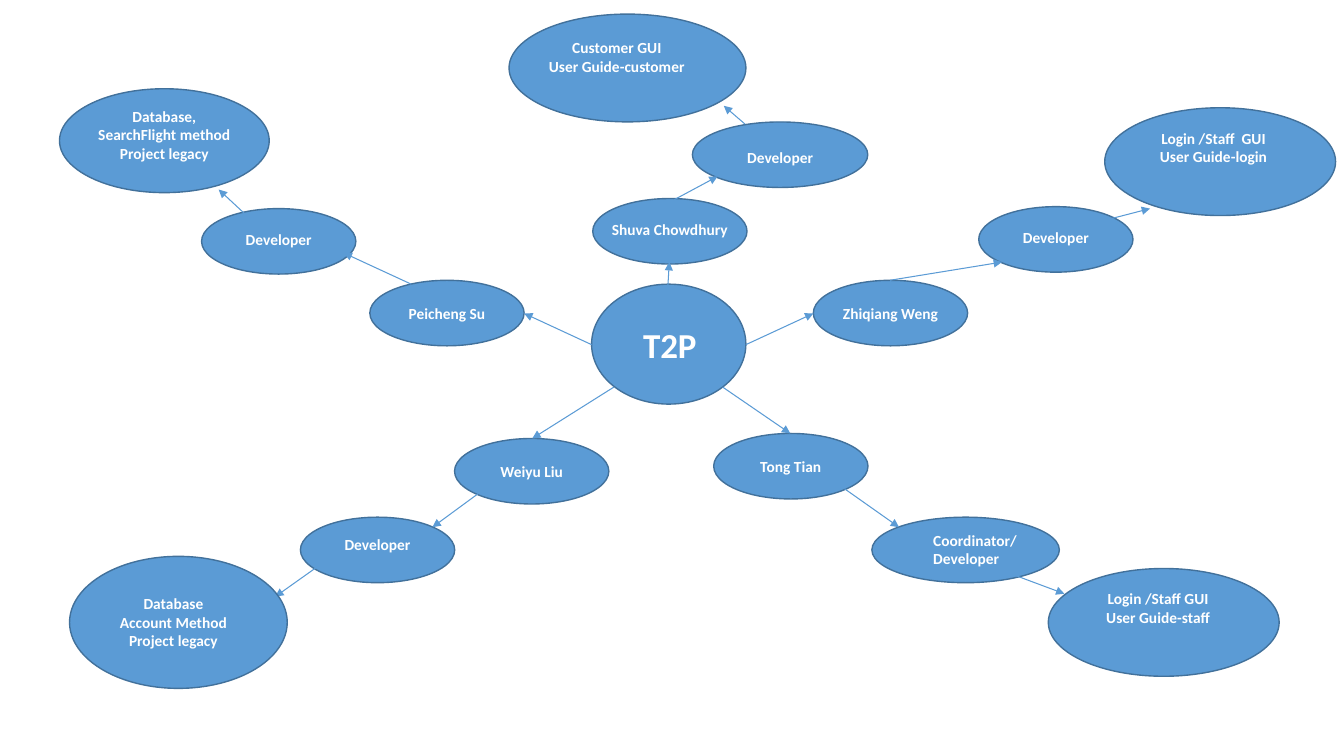
from dataclasses import dataclass

from lxml.etree import SubElement
from pptx import Presentation
from pptx.dml.color import RGBColor
from pptx.enum.shapes import MSO_CONNECTOR, MSO_SHAPE
from pptx.enum.text import MSO_ANCHOR, PP_ALIGN
from pptx.oxml.ns import qn
from pptx.shapes.base import BaseShape
from pptx.slide import Slide
from pptx.text.text import TextFrame
from pptx.util import Pt


@dataclass(frozen=True)
class Theme:
    font: str = "Calibri"
    fill: RGBColor = RGBColor(0x5B, 0x9B, 0xD5)
    outline: RGBColor = RGBColor(0x42, 0x71, 0x9B)
    text: RGBColor = RGBColor(0xFF, 0xFF, 0xFF)
    label_size: float = 11
    hub_size: float = 25
    outline_width: float = 1
    arrow_width: float = 0.75


@dataclass(frozen=True)
class Box:
    left: float
    top: float
    width: float
    height: float


@dataclass(frozen=True)
class Bubble:
    oval: Box
    label: Box
    lines: tuple[str, ...]
    align: PP_ALIGN = PP_ALIGN.CENTER


@dataclass(frozen=True)
class Arrow:
    start: tuple[float, float]
    end: tuple[float, float]


THEME = Theme()
OVAL_WIDTH, OVAL_HEIGHT = 110.2, 46.8
LABEL_HEIGHT = 20.9
OUTCOME_LABEL_HEIGHT = 74.2


def small_bubble(left: float, top: float, drop: float, text: str,
                 label_width: float = 72, width: float = OVAL_WIDTH) -> Bubble:
    """One-line bubble whose label is centred across and starts `drop` below the top."""
    label_left = left + (width - label_width) / 2
    return Bubble(Box(left, top, width, OVAL_HEIGHT),
                  Box(label_left, top + drop, label_width, LABEL_HEIGHT), (text,))


def outcome(oval: Box, label_left: float, label_top: float, label_width: float,
            *lines: str) -> Bubble:
    return Bubble(oval, Box(label_left, label_top, label_width, OUTCOME_LABEL_HEIGHT), lines)


# Team members and their roles
MEMBERS = [
    small_bubble(264.2, 200.2, 13.6, "Peicheng Su"),
    small_bubble(423.4, 141.8, 11.6, "Shuva Chowdhury", 103.7),
    small_bubble(509.8, 309.6, 13, "Tong Tian"),
    small_bubble(324.7, 313.2, 13, "Weiyu Liu"),
    small_bubble(581, 200.2, 13.6, "Zhiqiang Weng", 87.1),
]
ROLES = [
    Bubble(Box(622.8, 369.4, 133.9, OVAL_HEIGHT), Box(659.5, 375.8, 84.2, 33.8),
           ("Coordinator/", "Developer"), PP_ALIGN.LEFT),
    small_bubble(214.6, 369.4, 9.4, "Developer"),
    small_bubble(699.1, 147.6, 11.8, "Developer"),
    small_bubble(144, 149, 12, "Developer"),
    small_bubble(494.6, 87.1, 14.9, "Developer", 85, 125.3),
]

# Work each member delivers
OUTCOMES = [
    outcome(Box(789.1, 77, 164.9, 77), 799.9, 88.6, 133.9,
            "Login /Staff  GUI", "User Guide-login"),
    outcome(Box(42.5, 63.4, 149.8, 74.2), 42.5, 72.7, 149.8,
            "Database,", "SearchFlight method", "Project legacy"),
    outcome(Box(363.6, 10.1, 169.2, 77), 373.7, 23.8, 133.9,
            "Customer GUI", "User Guide-customer"),
    outcome(Box(748.8, 406.1, 164.9, 77), 760.3, 417.6, 133.9,
            "Login /Staff GUI", "User Guide-staff"),
    outcome(Box(49.7, 397.4, 155.5, 94.3), 49, 421.2, 149.8,
            "Database", "Account Method", "Project legacy"),
]

HUB_OVAL = Box(422.6, 203, 110.2, 85.7)
HUB_LABEL = Box(434.9, 227.5, 87.1, 37.4)

# From the hub to members, roles and outcomes
ARROWS = [
    Arrow((438.5, 276.5), (380.2, 313.2)),
    Arrow((341.3, 352.8), (308.9, 376.6)),
    Arrow((229, 403.2), (196.6, 426.2)),
    Arrow((516.2, 276.5), (564.5, 309.6)),
    Arrow((603.4, 349.2), (642.2, 376.6)),
    Arrow((715.7, 407.5), (760.3, 424.1)),
    Arrow((532.8, 246.2), (581, 223.9)),
    Arrow((635.8, 200.2), (715.7, 187.2)),
    Arrow((779.8, 159.8), (821.5, 149)),
    Arrow((422.6, 246.2), (374.4, 223.9)),
    Arrow((293.8, 203), (245.5, 180.7)),
    Arrow((177.1, 154.8), (156.2, 135.4)),
    Arrow((476.6, 212.4), (478.1, 187.2)),
    Arrow((481.7, 142.6), (512.6, 126)),
    Arrow((532.1, 88.6), (517, 75.6)),
]


def place(shape: BaseShape, box: Box) -> None:
    shape.left, shape.top = Pt(box.left), Pt(box.top)
    shape.width, shape.height = Pt(box.width), Pt(box.height)


def write(frame: TextFrame, lines: tuple[str, ...], size: float, align: PP_ALIGN) -> None:
    frame.word_wrap = True
    frame.vertical_anchor = MSO_ANCHOR.TOP
    frame.margin_left = frame.margin_right = Pt(7.2)
    frame.margin_top = frame.margin_bottom = Pt(3.6)
    frame.text = "\n".join(lines)
    for paragraph in frame.paragraphs:
        paragraph.alignment = align
        paragraph.font.name = THEME.font
        paragraph.font.size = Pt(size)
        paragraph.font.bold = True
        paragraph.font.color.rgb = THEME.text


def draw_oval(slide: Slide, box: Box) -> None:
    oval = slide.shapes.add_shape(MSO_SHAPE.OVAL, Pt(box.left), Pt(box.top),
                                  Pt(box.width), Pt(box.height))
    oval.shadow.inherit = False
    oval.fill.solid()
    oval.fill.fore_color.rgb = THEME.fill
    oval.line.color.rgb = THEME.outline
    oval.line.width = Pt(THEME.outline_width)


def draw_bubble(slide: Slide, bubble: Bubble) -> None:
    draw_oval(slide, bubble.oval)
    box = bubble.label
    label = slide.shapes.add_textbox(Pt(box.left), Pt(box.top), Pt(box.width), Pt(box.height))
    write(label.text_frame, bubble.lines, THEME.label_size, bubble.align)


def draw_hub(slide: Slide) -> None:
    draw_oval(slide, HUB_OVAL)
    title = slide.shapes.title
    place(title, HUB_LABEL)
    write(title.text_frame, ("T2P",), THEME.hub_size, PP_ALIGN.CENTER)
    # Bring the title in front of the hub oval
    slide.shapes._spTree.append(title._element)


def draw_arrow(slide: Slide, arrow: Arrow) -> None:
    connector = slide.shapes.add_connector(
        MSO_CONNECTOR.STRAIGHT, *(Pt(value) for value in arrow.start + arrow.end))
    connector.line.color.rgb = THEME.fill
    connector.line.width = Pt(THEME.arrow_width)
    SubElement(connector.line._get_or_add_ln(), qn("a:tailEnd"), type="triangle")
    SubElement(connector._element.spPr, qn("a:effectLst"))


def main() -> None:
    deck = Presentation()
    deck.slide_width, deck.slide_height = Pt(960), Pt(540)
    slide = deck.slides.add_slide(deck.slide_layouts.get_by_name("Title Only"))

    for bubble in MEMBERS + ROLES:
        draw_bubble(slide, bubble)
    draw_hub(slide)
    for arrow in ARROWS:
        draw_arrow(slide, arrow)
    for bubble in OUTCOMES:
        draw_bubble(slide, bubble)

    deck.save("out.pptx")


if __name__ == "__main__":
    main()
